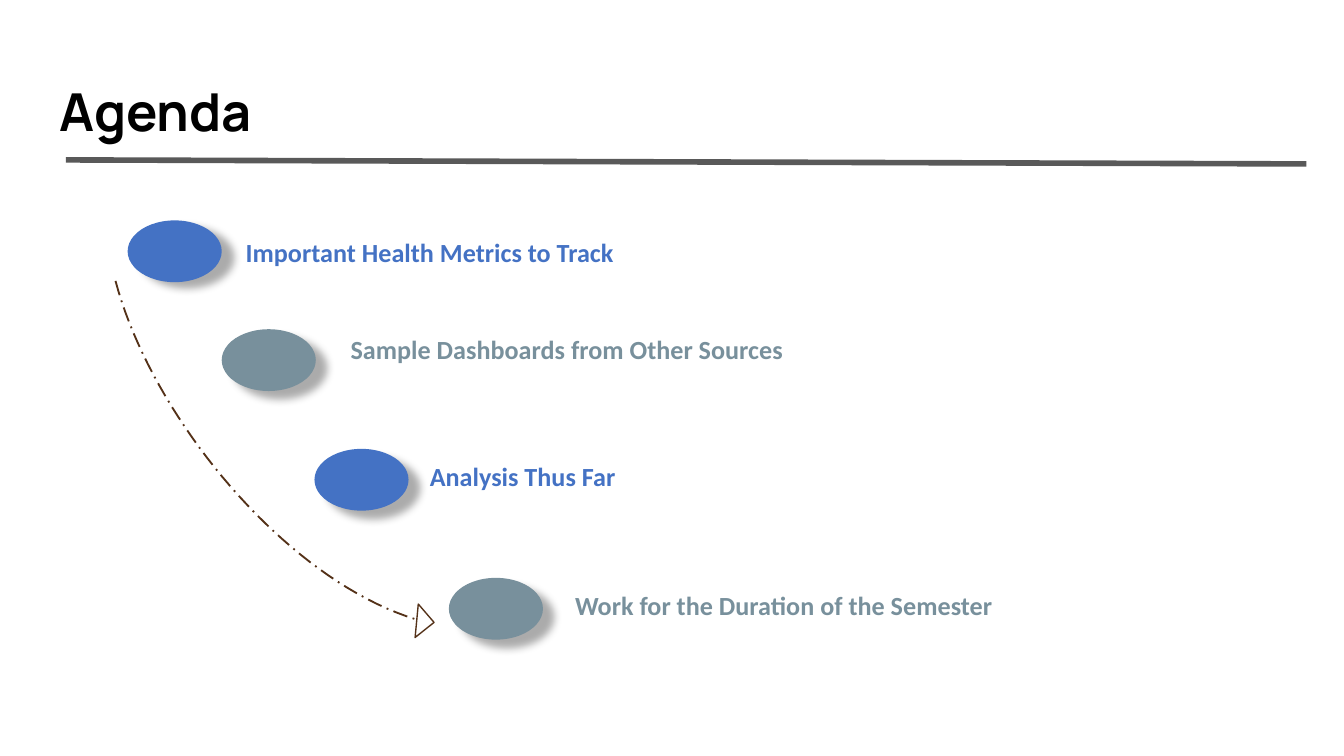
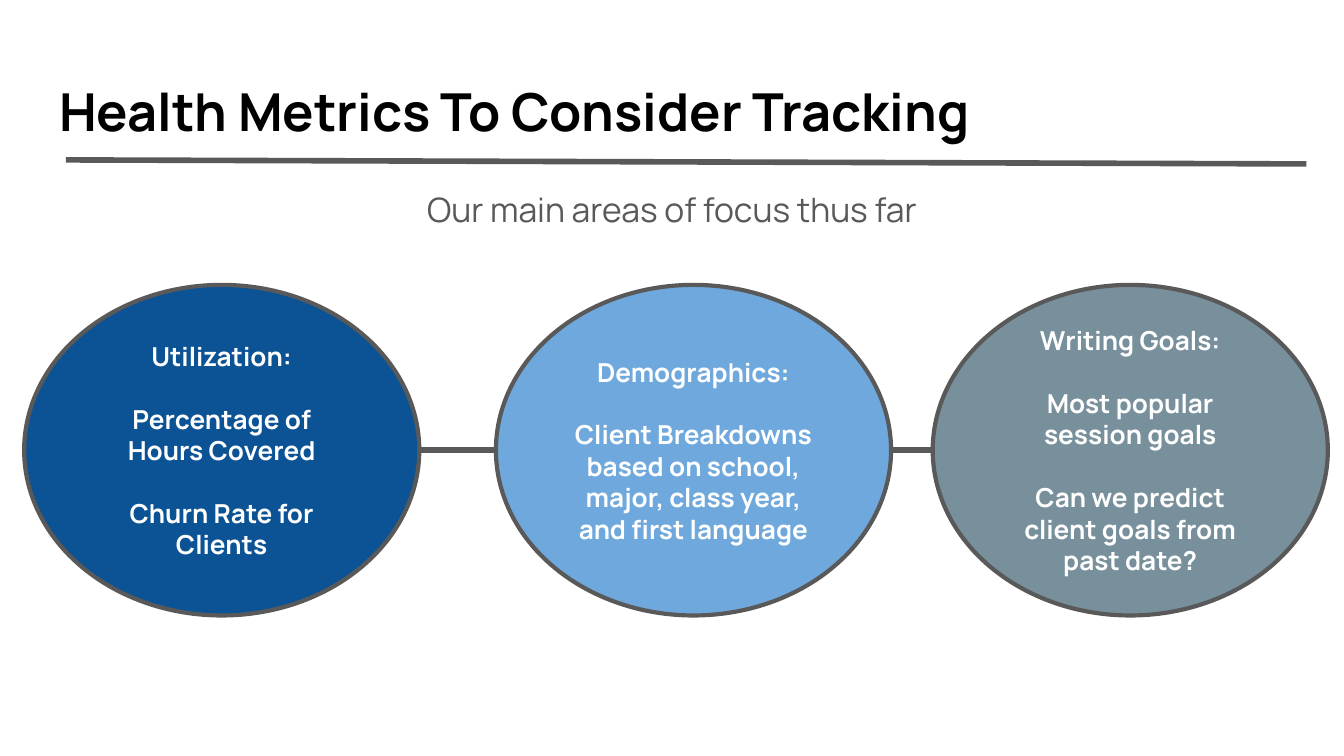
from itertools import pairwise

from lxml import etree
from pptx import Presentation
from pptx.dml.color import RGBColor
from pptx.enum.dml import MSO_LINE_DASH_STYLE as Dash
from pptx.enum.shapes import MSO_CONNECTOR, MSO_SHAPE
from pptx.enum.text import MSO_ANCHOR, MSO_AUTO_SIZE, PP_ALIGN
from pptx.oxml.ns import qn
from pptx.util import Inches, Pt

COLORS = {
    "black": "000000",
    "white": "FFFFFF",
    "gray": "595959",
    "blue": "4472C4",
    "slate": "78909C",
    "navy": "0B5394",
    "sky": "6FA8DC",
    "brown": "543118",
}
TITLE_BOX = (0.34, 0.49, 9.32, 0.63)
SUBTITLE_BOX = (0.34, 1.26, 9.32, 0.51)
BULLET_SIZE = (0.7, 0.46)
LABEL_HEIGHT = 0.37

AGENDA = [
    ("Important Health Metrics to Track", "blue", (0.95, 1.64), (1.73, 1.67), 3.92, 26),
    ("Sample Dashboards from Other Sources", "slate", (1.65, 2.45), (2.51, 2.39), 5.52, 36),
    ("Analysis Thus Far", "blue", (2.34, 3.34), (3.1, 3.34), 3.46, 36),
    ("Work for the Duration of the Semester", "slate", (3.34, 4.3), (4.18, 4.3), 5.22, 36),
]
METRICS = [
    (0.18, "navy", ["Utilization:", "Percentage of Hours Covered", "Churn Rate for Clients"]),
    (3.69, "sky", ["Demographics:",
                   "Client Breakdowns based on school, major, class year, and first language"]),
    (6.94, "slate", ["Writing Goals:", "Most popular session goals",
                     "Can we predict client goals from past date?"]),
]


def rgb(name):
    return RGBColor.from_string(COLORS[name])


def inches(*values):
    return [Inches(value) for value in values]


def write(shape, texts, font, size, color, bold=False, align=PP_ALIGN.LEFT,
          anchor=MSO_ANCHOR.TOP, inset=0.1, gap=0):
    frame = shape.text_frame
    frame.word_wrap = True
    frame.auto_size = MSO_AUTO_SIZE.NONE
    frame.vertical_anchor = anchor
    frame.margin_left = frame.margin_right = Inches(0.1)
    frame.margin_top = frame.margin_bottom = Inches(inset)
    frame.text = "\n".join(texts)
    for index, para in enumerate(frame.paragraphs):
        para.alignment = align
        para.space_before = Pt(gap if index else 0)
        para.font.name = font
        para.font.size = Pt(size)
        para.font.bold = bold
        para.font.color.rgb = rgb(color)


def add_ellipse(page, box, color):
    ellipse = page.shapes.add_shape(MSO_SHAPE.OVAL, *inches(*box))
    ellipse.shadow.inherit = False
    ellipse.fill.solid()
    ellipse.fill.fore_color.rgb = rgb(color)
    return ellipse


def add_outline(shape, color, width):
    shape.line.color.rgb = rgb(color)
    shape.line.width = Pt(width)


def add_rule(page, start, end):
    rule = page.shapes.add_connector(MSO_CONNECTOR.STRAIGHT, *inches(*start, *end))
    add_outline(rule, "gray", 3)
    etree.SubElement(rule._element.spPr, qn("a:effectLst"))


def add_shadow(shape, angle):
    effects = shape._element.spPr.find(qn("a:effectLst"))
    shadow = etree.SubElement(effects, qn("a:outerShdw"), blurRad=str(Pt(4.5)),
                              dist=str(Pt(7.5)), dir=str(angle * 60000),
                              algn="tl", rotWithShape="0")
    color = etree.SubElement(shadow, qn("a:srgbClr"), val=COLORS["black"])
    etree.SubElement(color, qn("a:alpha"), val="33000")


def add_page(deck, title):
    page = deck.slides.add_slide(deck.slide_layouts[5])
    heading = page.shapes.title
    heading.left, heading.top, heading.width, heading.height = inches(*TITLE_BOX)
    write(heading, [title], "Manrope", 28, "black", bold=True)
    add_rule(page, (0.49, 1.19), (9.72, 1.22))
    return page


def bezier_point(controls, t):
    weights = ((1 - t) ** 3, 3 * t * (1 - t) ** 2, 3 * t ** 2 * (1 - t), t ** 3)
    return tuple(Inches(sum(w * point[axis] for w, point in zip(weights, controls)))
                 for axis in (0, 1))


def add_curved_arrow(page, box, steps=40):
    left, top, width, height = box
    controls = [(left + width * x, top + height * y)
                for x, y in ((0, 0), (0.12, 0.4), (0.56, 0.88), (1, 1))]
    points = [bezier_point(controls, step / steps) for step in range(steps + 1)]
    builder = page.shapes.build_freeform(*points[0])
    builder.add_line_segments(points[1:], close=False)
    curve = builder.convert_to_shape()
    head = page.shapes.add_shape(
        MSO_SHAPE.ISOSCELES_TRIANGLE,
        *inches(left + width - 0.06, top + height - 0.05, 0.25, 0.13))
    head.rotation = 95.4
    for part, weight in ((curve, 1), (head, 0.75)):
        part.shadow.inherit = False
        part.fill.background()
        add_outline(part, "brown", weight)
    curve.line.dash_style = Dash.LONG_DASH_DOT


def add_agenda_item(page, text, color, bullet_at, label_at, label_width, angle):
    bullet = add_ellipse(page, (*bullet_at, *BULLET_SIZE), color)
    bullet.line.fill.background()
    add_shadow(bullet, angle)
    label = page.shapes.add_textbox(*inches(*label_at, label_width, LABEL_HEIGHT))
    write(label, [text], "Calibri", 14, color, bold=True,
          anchor=MSO_ANCHOR.BOTTOM, inset=0.05)


def build_agenda(deck):
    page = add_page(deck, "Agenda")
    add_curved_arrow(page, (0.86, 2.09, 2.24, 2.52))
    for item in AGENDA:
        add_agenda_item(page, *item)


def add_metric_row(page, top, width, height):
    for left, color, texts in METRICS:
        ellipse = add_ellipse(page, (left, top, width, height), color)
        add_outline(ellipse, "gray", 2.25)
        write(ellipse, texts, "Manrope", 14, "white", bold=True,
              align=PP_ALIGN.CENTER, anchor=MSO_ANCHOR.MIDDLE, gap=16.8)
    middle = top + height / 2
    for (left, *_), (following, *_) in pairwise(METRICS):
        add_rule(page, (left + width, middle), (following, middle))


def build_metrics(deck):
    page = add_page(deck, "Health Metrics To Consider Tracking")
    subtitle = page.shapes.add_textbox(*inches(*SUBTITLE_BOX))
    write(subtitle, ["Our main areas of focus thus far"], "Manrope", 18, "gray",
          align=PP_ALIGN.CENTER)
    subtitle.text_frame.paragraphs[0].line_spacing = 1.15
    add_metric_row(page, 2.12, 2.94, 2.46)


def main():
    deck = Presentation()
    deck.slide_width = Inches(10)
    deck.slide_height = deck.slide_width * 9 // 16
    build_agenda(deck)
    build_metrics(deck)
    deck.save("out.pptx")


if __name__ == "__main__":
    main()
